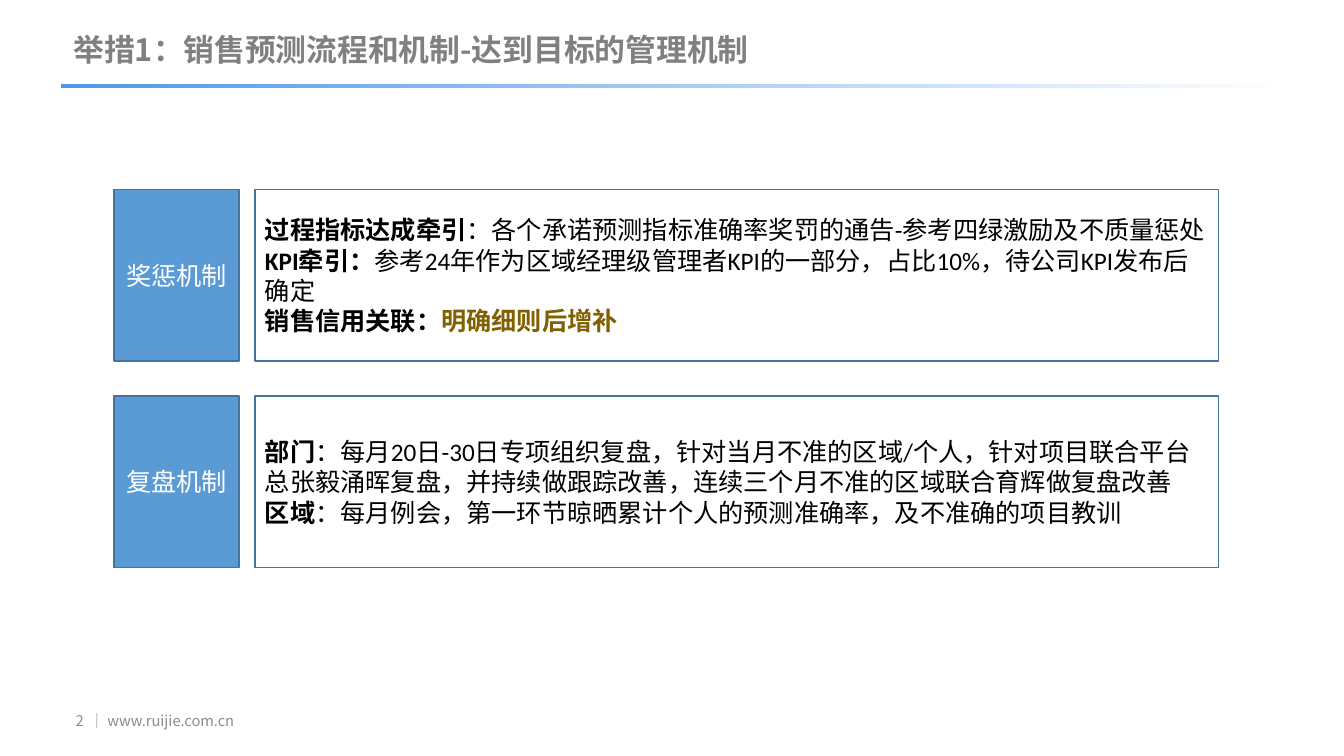
from dataclasses import dataclass

from lxml.etree import SubElement
from pptx import Presentation
from pptx.dml.color import RGBColor
from pptx.enum.shapes import MSO_SHAPE
from pptx.enum.text import MSO_ANCHOR as ANCHOR, PP_ALIGN as ALIGN
from pptx.oxml.ns import qn
from pptx.util import Pt

NOTO, CALIBRI = "Noto Sans CJK SC", "Calibri"
BLUE, EDGE, ACCENT = "5B9BD5", "43739E", "4F98EB"
GREY, FOOTER, GOLD = "808080", "8C8C8C", "806000"
WHITE, BLACK = "FFFFFF", "000000"

ROW_TOP, ROW_PITCH, ROW_HEIGHT = 135.4, 147.6, 122.4
LABEL_LEFT, LABEL_WIDTH = 81.4, 89.3
BODY_LEFT, BODY_WIDTH = 182.2, 688.3


@dataclass
class Point:
    head: str
    text: str
    text_color: str = BLACK
    text_bold: bool = False


@dataclass
class Mechanism:
    label: str
    points: list[Point]


MECHANISMS = [
    Mechanism("奖惩机制", [
        Point("过程指标达成牵引", "：各个承诺预测指标准确率奖罚的通告-参考四绿激励及不质量惩处"),
        Point("KPI牵引：", "参考24年作为区域经理级管理者KPI的一部分，占比10%，待公司KPI发布后确定"),
        Point("销售信用关联：", "明确细则后增补", GOLD, True),
    ]),
    Mechanism("复盘机制", [
        Point("部门", "：每月20日-30日专项组织复盘，针对当月不准的区域/个人，针对项目联合平台总张毅涌晖复盘，"
                    "并持续做跟踪改善，连续三个月不准的区域联合育辉做复盘改善"),
        Point("区域", "：每月例会，第一环节晾晒累计个人的预测准确率，及不准确的项目教训"),
    ]),
]


def rgb(color: str) -> RGBColor:
    return RGBColor.from_string(color)


def add_run(p, text: str, *, size: float = 18, font: str = CALIBRI,
            color: str = BLACK, bold: bool = False) -> None:
    r = p.add_run()
    r.text = text
    r.font.size, r.font.name, r.font.bold = Pt(size), font, bold
    r.font.color.rgb = rgb(color)
    SubElement(r.font._element, qn("a:ea")).set("typeface", font)


def add_text(slide, text: str, left: float, top: float, width: float, height: float, *,
             anchor=ANCHOR.MIDDLE, align=ALIGN.LEFT, spacing: float = 1.0, **run_format) -> None:
    tf = slide.shapes.add_textbox(Pt(left), Pt(top), Pt(width), Pt(height)).text_frame
    tf.word_wrap, tf.vertical_anchor = True, anchor
    p = tf.paragraphs[0]
    p.alignment, p.line_spacing = align, spacing
    add_run(p, text, **run_format)


def add_box(slide, left: float, top: float, width: float, fill: str):
    """Add an outlined row box and return its text frame."""
    sp = slide.shapes.add_shape(MSO_SHAPE.RECTANGLE, Pt(left), Pt(top), Pt(width), Pt(ROW_HEIGHT))
    sp.shadow.inherit = False
    sp.fill.solid()
    sp.fill.fore_color.rgb = rgb(fill)
    sp.line.color.rgb = rgb(EDGE)
    sp.line.width = Pt(1)
    tf = sp.text_frame
    tf.word_wrap, tf.vertical_anchor = True, ANCHOR.MIDDLE
    return tf


def add_mechanism(slide, mechanism: Mechanism, top: float) -> None:
    p = add_box(slide, LABEL_LEFT, top, LABEL_WIDTH, BLUE).paragraphs[0]
    p.alignment = ALIGN.CENTER
    add_run(p, mechanism.label, color=WHITE)

    tf = add_box(slide, BODY_LEFT, top, BODY_WIDTH, WHITE)
    for i, point in enumerate(mechanism.points):
        p = tf.add_paragraph() if i else tf.paragraphs[0]
        p.alignment = ALIGN.LEFT
        add_run(p, point.head, bold=True)
        add_run(p, point.text, color=point.text_color, bold=point.text_bold)


def add_fading_rule(slide) -> None:
    """Add the title rule, fading to transparent on the right."""
    sp = slide.shapes.add_shape(MSO_SHAPE.RECTANGLE, Pt(44), Pt(60.3), Pt(872.6), Pt(2.5))
    sp.shadow.inherit = False
    sp.line.fill.background()
    sp.fill.gradient()
    sp.fill.gradient_angle = 0
    for stop in sp.fill.gradient_stops:
        stop.color.rgb = rgb(ACCENT)
    last_color = list(sp._element.spPr.iter(qn("a:srgbClr")))[-1]
    SubElement(last_color, qn("a:alpha")).set("val", "0")


def main() -> None:
    prs = Presentation()
    prs.slide_width, prs.slide_height = Pt(960), Pt(540)
    slide = prs.slides.add_slide(prs.slide_layouts[6])

    add_fading_rule(slide)
    footer = dict(size=10.5, font=NOTO, color=FOOTER)
    add_text(slide, "2", 25.9, 500.4, 41, 28.8, align=ALIGN.RIGHT, **footer)
    add_text(slide, "｜ www.ruijie.com.cn", 56.9, 500.4, 185, 28.8, **footer)
    add_text(slide, "举措1：销售预测流程和机制-达到目标的管理机制", 45.4, 21.6, 653, 38.9,
             anchor=ANCHOR.TOP, spacing=0.9, size=22, font=NOTO, color=GREY, bold=True)

    for i, mechanism in enumerate(MECHANISMS):
        add_mechanism(slide, mechanism, ROW_TOP + i * ROW_PITCH)

    prs.save("out.pptx")


if __name__ == "__main__":
    main()
